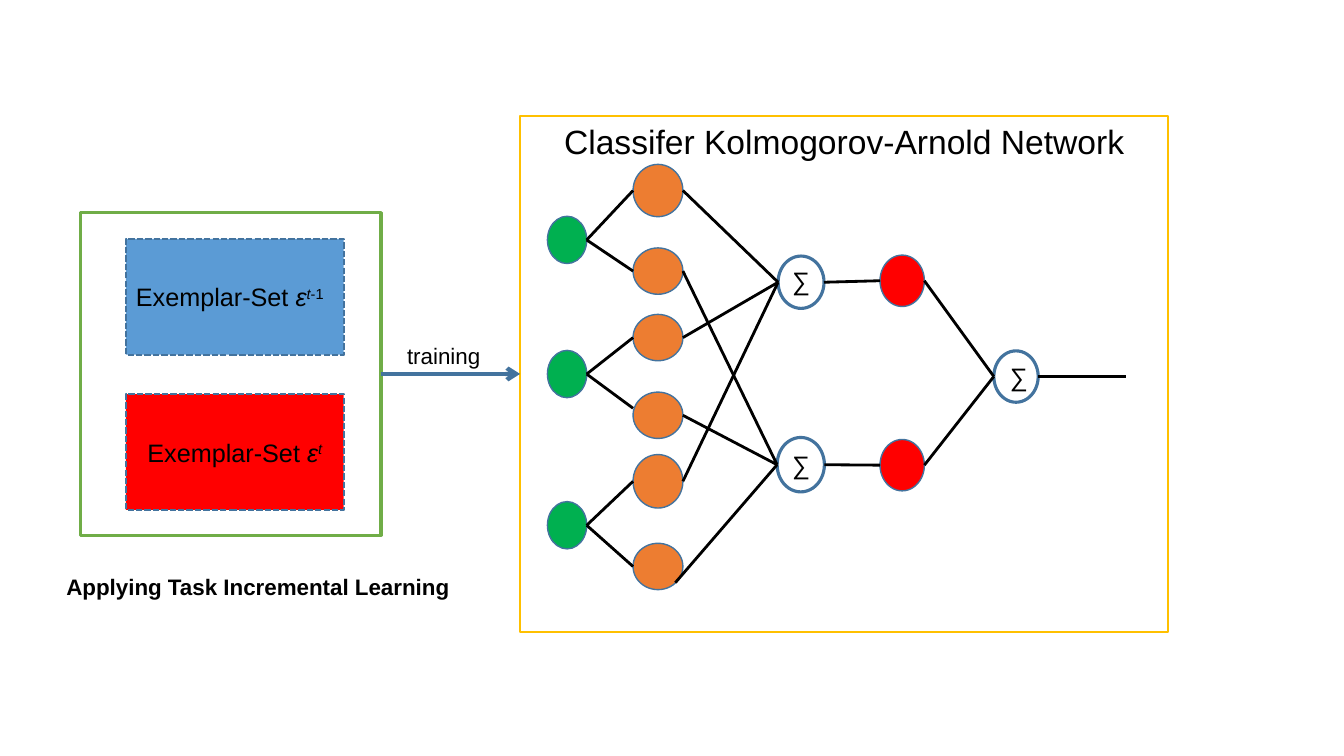
import pptx
import pptx.dml.color
import pptx.enum.dml
import pptx.enum.shapes
import pptx.enum.text
import pptx.oxml
import pptx.oxml.ns
import pptx.util

Pt = pptx.util.Pt
RGBColor = pptx.dml.color.RGBColor
SHAPE = pptx.enum.shapes.MSO_SHAPE
ALIGN = pptx.enum.text.PP_ALIGN
ANCHOR = pptx.enum.text.MSO_ANCHOR
DASH = pptx.enum.dml.MSO_LINE

BLACK = RGBColor(0x00, 0x00, 0x00)
WHITE = RGBColor(0xFF, 0xFF, 0xFF)
STEEL = RGBColor(0x43, 0x73, 0x9E)
BLUE = RGBColor(0x5B, 0x9B, 0xD5)
RED = RGBColor(0xFF, 0x00, 0x00)
GREEN = RGBColor(0x00, 0xB0, 0x50)
LEAF = RGBColor(0x70, 0xAD, 0x47)
ORANGE = RGBColor(0xED, 0x7D, 0x31)
GOLD = RGBColor(0xFF, 0xC0, 0x00)

ITALIC = {"italic": True}


class Diagram:
    def __init__(self, slide, font_name):
        self.slide = slide
        self.font_name = font_name

    def add_text(self, frame, runs, size, align=ALIGN.LEFT, anchor=ANCHOR.TOP, bold=None):
        frame.vertical_anchor = anchor
        paragraph = frame.paragraphs[0]
        paragraph.alignment = align
        for text, extra, baseline in runs:
            run = paragraph.add_run()
            run.text = text
            values = {"name": self.font_name, "size": Pt(size), "bold": bold, **extra}
            for key, value in values.items():
                setattr(run.font, key, value)
            run.font.color.rgb = BLACK
            if baseline:
                run._r.get_or_add_rPr().set("baseline", str(baseline))

    def shape(self, kind, box, fill, line, weight, dash=None):
        shape = self.slide.shapes.add_shape(kind, *map(Pt, box))
        shape.shadow.inherit = False
        if fill is None:
            shape.fill.background()
        else:
            shape.fill.solid()
            shape.fill.fore_color.rgb = fill
        shape.line.color.rgb = line
        for key, value in {"width": Pt(weight), "dash_style": dash}.items():
            setattr(shape.line, key, value)
        return shape

    def node(self, box, fill, weight=1):
        self.shape(SHAPE.OVAL, box, fill, STEEL, weight)
        left, top, width, height = box
        middle = top + height / 2
        return (left, middle), (left + width, middle)

    def label(self, box, text, size, wrap=False, **style):
        frame = self.slide.shapes.add_textbox(*map(Pt, box)).text_frame
        frame.word_wrap = wrap
        frame.auto_size = pptx.enum.text.MSO_AUTO_SIZE.SHAPE_TO_FIT_TEXT
        self.add_text(frame, [(text, {}, None)], size, **style)

    def line(self, start, end, color=BLACK, weight=2, arrow=False):
        connector = self.slide.shapes.add_connector(
            pptx.enum.shapes.MSO_CONNECTOR.STRAIGHT, *map(Pt, start + end))
        connector.line.color.rgb = color
        connector.line.width = Pt(weight)
        if arrow:
            head = pptx.oxml.parse_xml(
                f'<a:tailEnd {pptx.oxml.ns.nsdecls("a")} type="arrow"/>')
            connector.line._get_or_add_ln().append(head)
        effects = pptx.oxml.parse_xml(f'<a:effectLst {pptx.oxml.ns.nsdecls("a")}/>')
        connector._element.spPr.append(effects)
        return connector


def draw_exemplars(diagram):
    epsilon = [("Exemplar-Set ", {}, None), ("ε", ITALIC, None), ("t", ITALIC, 30000)]
    sets = [
        (170.6, BLUE, epsilon + [("-1", {}, 30000)], ALIGN.LEFT),
        (281.5, RED, epsilon, ALIGN.CENTER),
    ]
    for top, fill, runs, align in sets:
        exemplar = diagram.shape(SHAPE.RECTANGLE, (90, top, 155.5, 82.8), fill,
                                 STEEL, 1.5, DASH.SQUARE_DOT)
        diagram.add_text(exemplar.text_frame, runs, 18, align, ANCHOR.MIDDLE)
    diagram.label((39.6, 406.1, 289.4, 45.4), "Applying Task Incremental Learning", 16,
                  wrap=True, align=ALIGN.CENTER, bold=True)
    return diagram.shape(SHAPE.RECTANGLE, (57.6, 151.9, 214.6, 230.4), None, LEAF, 2.25)


def draw_network(diagram):
    inputs = [diagram.node((391, top, 28.1, 33.8), GREEN) for top in (154.5, 250.3, 358.3)]
    edges = [(117.4, 37.4), (177.1, 33.1), (224.6, 33.1),
             (280.1, 33.1), (324.7, 38.2), (388.1, 33.1)]
    activations = [diagram.node((452.2, top, 35.6, height), ORANGE) for top, height in edges]
    sums = [diagram.node(box, None, 2.25)
            for box in ((555.8, 182.9, 32.8, 37.4), (555.1, 312.5, 33.8, 38.9))]
    outer = [diagram.node((628.6, top, 31.7, 36.7), RED) for top in (182.2, 313.9)]
    output = diagram.node((709.9, 250.6, 31.7, 36.7), WHITE, 2.25)

    entries = {3: (452.2, 291.6)}
    exits = {5: (482.4, 416.2)}
    for index, (left, right) in enumerate(activations):
        diagram.line(inputs[index // 2][1], entries.get(index, left))
        diagram.line(exits.get(index, right), sums[index % 2][0])
    for total, activation in zip(sums, outer):
        diagram.line(total[1], activation[0])
        diagram.line(activation[1], output[0])
    diagram.line(output[1], (804.2, output[1][1]), weight=2.25)
    for left, top in ((558.7, 185.8), (558.7, 317.5), (714.2, 254.2)):
        diagram.label((left, top, 27.4, 28.8), "∑", 18)


def main():
    presentation = pptx.Presentation()
    presentation.slide_width = Pt(960)
    presentation.slide_height = Pt(540)
    slide = presentation.slides.add_slide(presentation.slide_layouts[6])
    diagram = Diagram(slide, "Arial")

    panel = diagram.shape(SHAPE.RECTANGLE, (371.5, 82.8, 463, 368.6), None, GOLD, 1.5)
    diagram.add_text(panel.text_frame, [("Classifer Kolmogorov-Arnold Network", {}, None)],
                     24, ALIGN.CENTER)
    frame = draw_exemplars(diagram)
    training = diagram.line((272.2, 267.1), (371.5, 267.1), STEEL, 3, arrow=True)
    training.begin_connect(frame, 3)
    training.end_connect(panel, 1)
    diagram.label((283.7, 241.2, 77, 26.6), "training", 16)
    draw_network(diagram)
    presentation.save("out.pptx")


if __name__ == "__main__":
    main()
